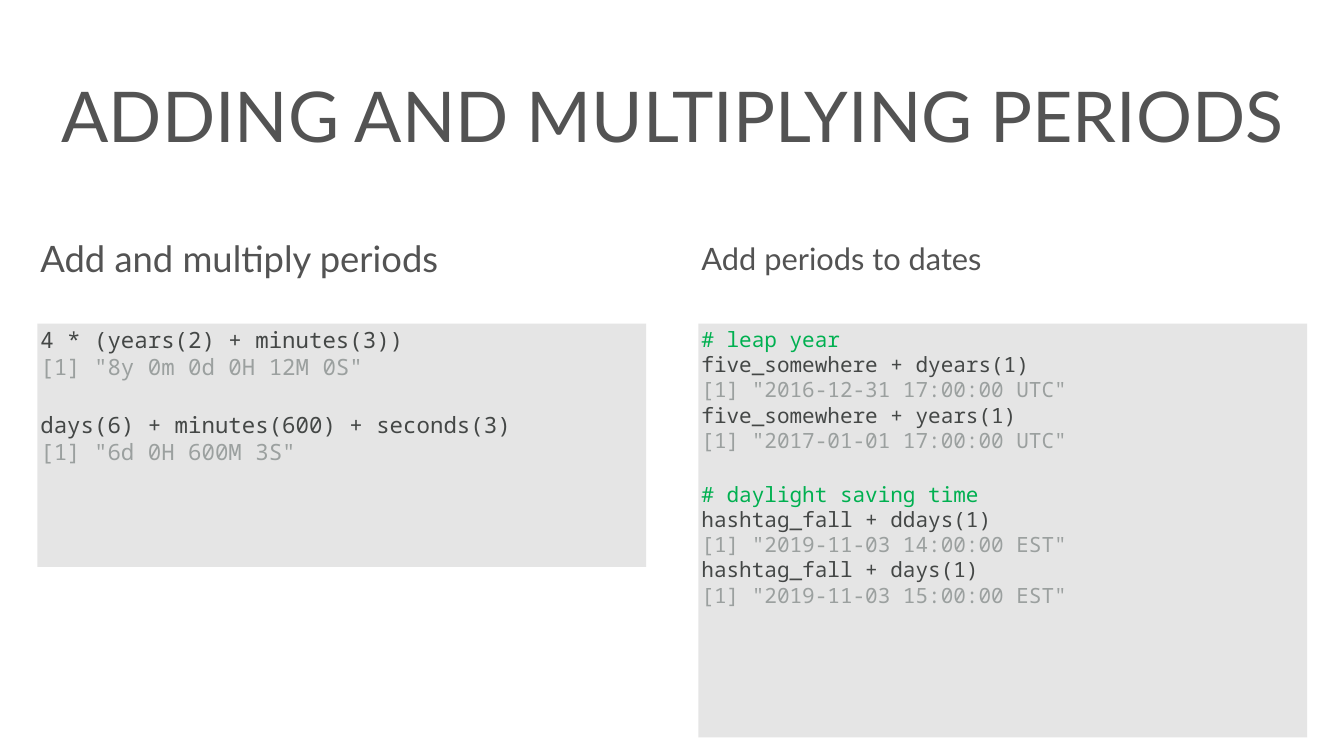
from dataclasses import dataclass

from pptx import Presentation
from pptx.dml.color import RGBColor
from pptx.enum.shapes import MSO_SHAPE
from pptx.enum.text import MSO_ANCHOR, PP_ALIGN
from pptx.util import Inches, Pt

RECTANGLE = MSO_SHAPE.RECTANGLE
TOP, MIDDLE = MSO_ANCHOR.TOP, MSO_ANCHOR.MIDDLE
LEFT, CENTER = PP_ALIGN.LEFT, PP_ALIGN.CENTER

HEADING_COLOR = RGBColor(0x53, 0x53, 0x53)
PANEL_COLOR = RGBColor(0xE5, 0xE5, 0xE5)
CODE_COLOR = RGBColor(0x44, 0x47, 0x46)
OUTPUT_COLOR = RGBColor(0x9B, 0xA0, 0x9F)
COMMENT_COLOR = RGBColor(0x00, 0xB0, 0x50)

HEADING_FONT = "Lato"
CODE_FONT = "Noto Sans Mono"
CODE_LINE_HEIGHT = 1.36  # line height of the code font, in ems

INSET = 0.06
MARGIN = 0.74
COLUMN_WIDTH = 12.08
HEADING_TOP, HEADING_HEIGHT = 4.19, 1.87
PANEL_TOP = 6.42


@dataclass(frozen=True)
class Column:
    left: float
    heading: str
    heading_size: int
    code_size: int
    panel_height: float
    code_blocks: list[list[str]]


COLUMNS = [
    Column(MARGIN, "Add and multiply periods", 52, 32, 4.83, [
        ["4 * (years(2) + minutes(3))", '[1] "8y 0m 0d 0H 12M 0S"'],
        ["days(6) + minutes(600) + seconds(3)", '[1] "6d 0H 600M 3S"'],
    ]),
    Column(13.86, "Add periods to dates", 44, 30, 8.21, [
        ["# leap year",
         "five_somewhere + dyears(1)", '[1] "2016-12-31 17:00:00 UTC"',
         "five_somewhere + years(1)", '[1] "2017-01-01 17:00:00 UTC"'],
        ["# daylight saving time",
         "hashtag_fall + ddays(1)", '[1] "2019-11-03 14:00:00 EST"',
         "hashtag_fall + days(1)", '[1] "2019-11-03 15:00:00 EST"'],
    ]),
]


def prepare_frame(shape, anchor: MSO_ANCHOR):
    frame = shape.text_frame
    frame.word_wrap = True
    frame.vertical_anchor = anchor
    frame.margin_left = frame.margin_right = Inches(INSET)
    frame.margin_top = frame.margin_bottom = Inches(INSET)
    return frame


def add_run(paragraph, text: str, font: str, size: int, color: RGBColor) -> None:
    run = paragraph.add_run()
    run.text = text
    run.font.name = font
    run.font.size = Pt(size)
    run.font.color.rgb = color


def add_heading(slide, text: str, size: int, left: float, top: float,
                width: float, height: float, alignment: PP_ALIGN = LEFT) -> None:
    box = slide.shapes.add_textbox(Inches(left), Inches(top), Inches(width), Inches(height))
    paragraph = prepare_frame(box, MIDDLE).paragraphs[0]
    paragraph.alignment = alignment
    add_run(paragraph, text, HEADING_FONT, size, HEADING_COLOR)


def line_color(line: str) -> RGBColor:
    if line.startswith("#"):
        return COMMENT_COLOR
    return OUTPUT_COLOR if line.startswith("[1]") else CODE_COLOR


def add_code_panel(slide, column: Column) -> None:
    """Draw the grey panel, with one line of space between code blocks."""
    panel = slide.shapes.add_shape(RECTANGLE, Inches(column.left), Inches(PANEL_TOP),
                                   Inches(COLUMN_WIDTH), Inches(column.panel_height))
    panel.shadow.inherit = False
    panel.fill.solid()
    panel.fill.fore_color.rgb = PANEL_COLOR
    panel.line.fill.background()
    frame = prepare_frame(panel, TOP)
    paragraph = frame.paragraphs[0]
    for block_index, block in enumerate(column.code_blocks):
        for line_index, line in enumerate(block):
            if block_index or line_index:
                paragraph = frame.add_paragraph()
            if block_index and not line_index:
                paragraph.space_before = Pt(round(column.code_size * CODE_LINE_HEIGHT))
            paragraph.alignment = LEFT
            add_run(paragraph, line, CODE_FONT, column.code_size, line_color(line))


def main() -> None:
    presentation = Presentation()
    presentation.slide_width = Inches(26.67)
    presentation.slide_height = Inches(15)
    slide = presentation.slides.add_slide(presentation.slide_layouts[6])

    add_heading(slide, "ADDING AND MULTIPLYING PERIODS", 100,
                MARGIN, 0.39, 25.21, 3.75, CENTER)
    for column in COLUMNS:
        add_heading(slide, column.heading, column.heading_size,
                    column.left, HEADING_TOP, COLUMN_WIDTH, HEADING_HEIGHT)
        add_code_panel(slide, column)

    presentation.save("out.pptx")


if __name__ == "__main__":
    main()
